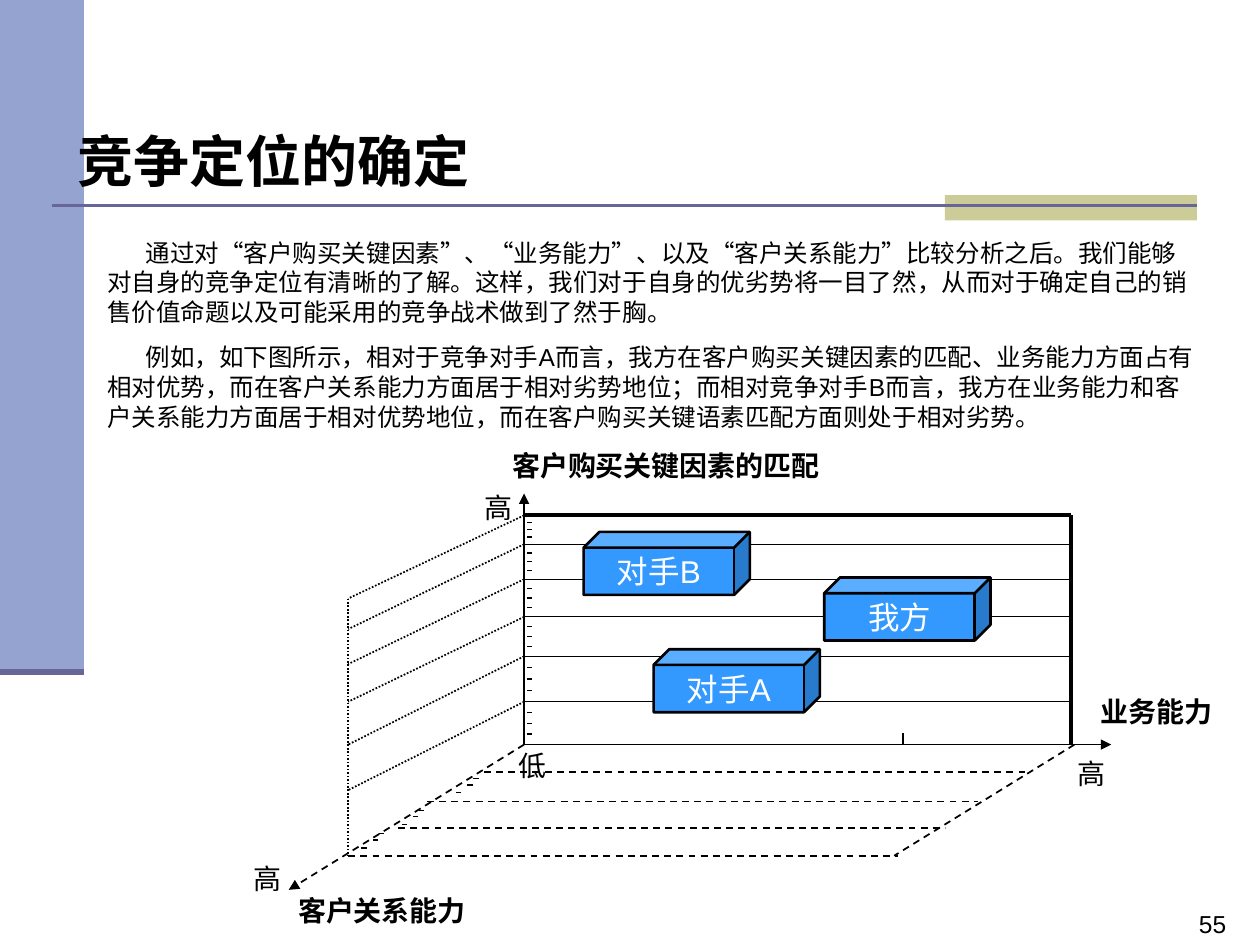
from lxml import etree
from pptx import Presentation
from pptx.dml.color import RGBColor
from pptx.enum.dml import MSO_LINE
from pptx.enum.shapes import MSO_CONNECTOR, MSO_SHAPE
from pptx.enum.text import MSO_ANCHOR, MSO_AUTO_SIZE, PP_ALIGN
from pptx.oxml.ns import qn
from pptx.util import Pt

RECT, CUBE = MSO_SHAPE.RECTANGLE, MSO_SHAPE.CUBE
STRAIGHT = MSO_CONNECTOR.STRAIGHT
DASH, DOT = MSO_LINE.DASH, MSO_LINE.ROUND_DOT
LEFT, CENTER = PP_ALIGN.LEFT, PP_ALIGN.CENTER
TOP, MIDDLE = MSO_ANCHOR.TOP, MSO_ANCHOR.MIDDLE
NO_FIT = MSO_AUTO_SIZE.NONE

COLORS = {
    "ink": "000000", "white": "FFFFFF", "band": "95A3D1",
    "rule": "666699", "tab": "CCCC99", "cube": "3399FF",
}
BODY = [
    "通过对“客户购买关键因素”、“业务能力”、以及“客户关系能力”比较分析之后。"
    "我们能够对自身的竞争定位有清晰的了解。这样，我们对于自身的优劣势将一目了然，"
    "从而对于确定自己的销售价值命题以及可能采用的竞争战术做到了然于胸。",
    "例如，如下图所示，相对于竞争对手A而言，我方在客户购买关键因素的匹配、"
    "业务能力方面占有相对优势，而在客户关系能力方面居于相对劣势地位；"
    "而相对竞争对手B而言，我方在业务能力和客户关系能力方面居于相对优势地位，"
    "而在客户购买关键语素匹配方面则处于相对劣势。",
]
# Corners of the three planes
AXIS_X, BASE_Y, RIGHT_X, SIDE_X, FRONT_Y = 299.5, 425.5, 612, 199, 489
LEVELS = [294.5, 311, 331, 352.5, 375, 401, BASE_Y]
SIDE_YS = [342, 359.5, 379.5, 401, 425.5, 451.5]
FLOOR = [(276.5, 586, 441), (244, 559, 458), (227.5, 540, 473),
         (SIDE_X, 513, FRONT_Y)]
MARKS = [(273.5, 445), (242.5, 463), (219.5, 476.5)]
STEPS = [(0, 0), (-3.5, 3.5), (-10, 8)]
TICK = 3


def color(name):
    return RGBColor.from_string(COLORS[name])


def style(para, size, ink="ink", face="Arial", bold=False, **form):
    para.font.size, para.font.name, para.font.bold = Pt(size), face, bold
    para.font.color.rgb = color(ink)
    for key, val in form.items():
        setattr(para, key, val)


def setup(frame, **form):
    base = {"word_wrap": True, "auto_size": NO_FIT, "vertical_anchor": TOP,
            "margin_left": Pt(7.2), "margin_right": Pt(7.2),
            "margin_top": Pt(3.6), "margin_bottom": Pt(3.6)}
    for key, val in {**base, **form}.items():
        setattr(frame, key, val)


def place(shape, box):
    """Move a placeholder to its box, in front of what is drawn so far."""
    for key, val in zip(("left", "top", "width", "height"), box):
        setattr(shape, key, Pt(val))
    shape._element.getparent().append(shape._element)


def block(slide, kind, box, fill):
    shape = slide.shapes.add_shape(kind, *map(Pt, box))
    shape.shadow.inherit = False
    shape.fill.solid()
    shape.fill.fore_color.rgb = color(fill)
    shape.line.fill.background()
    return shape


def line(slide, start, end, width=0.75, dash=None, ink="ink", arrow=False):
    rule = slide.shapes.add_connector(STRAIGHT, *map(Pt, (*start, *end)))
    rule.line.color.rgb = color(ink)
    rule.line.width = Pt(width)
    if dash:
        rule.line.dash_style = dash
    if arrow:
        etree.SubElement(rule.line._get_or_add_ln(), qn("a:tailEnd"),
                         type="triangle")
    etree.SubElement(rule._element.spPr, qn("a:effectLst"))


def label(slide, text, box, size, wrap=True, **form):
    frame = slide.shapes.add_textbox(*map(Pt, box)).text_frame
    setup(frame, word_wrap=wrap)
    frame.text = text
    style(frame.paragraphs[0], size, **form)


def cube(slide, text, x, y):
    shape = block(slide, CUBE, (x, y, 95, 36), "cube")
    shape.line.color.rgb = color("ink")
    shape.line.width = Pt(1.5)
    frame = shape.text_frame
    setup(frame, vertical_anchor=MIDDLE, margin_left=0, margin_right=0,
          margin_top=0, margin_bottom=0)
    frame.text = text
    style(frame.paragraphs[0], 18, "white", alignment=CENTER)


def frame_art(slide):
    block(slide, RECT, (0, 0, 48, 384), "band")
    block(slide, RECT, (540, 111.5, 144, 14.5), "tab")
    line(slide, (30, 117.5), (684, 117.5), 1.5, ink="rule")
    line(slide, (0, 384), (48, 384), 3.5, ink="rule")
    label(slide, "55", (678, 516, 60, 24.5), 14)


def words(slide):
    title, body = slide.placeholders
    place(title, (30, 68.5, 672, 46))
    setup(title.text_frame, margin_left=Pt(14.4))
    title.text_frame.text = "竞争定位的确定"
    style(title.text_frame.paragraphs[0], 32, face="Noto Sans CJK SC",
          bold=True, alignment=LEFT)
    place(body, (54, 132, 636, 117.5))
    setup(body.text_frame)
    body.text_frame.text = "\n".join(BODY)
    for para in body.text_frame.paragraphs:
        style(para, 14, space_before=Pt(8.8), line_spacing=Pt(17))
        props = para._p.get_or_add_pPr()
        props.set("marL", "0")
        props.set("indent", str(Pt(22)))
        mark = etree.Element(qn("a:buNone"))
        props.find(qn("a:spcBef")).addnext(mark)


def wall(slide):
    line(slide, (AXIS_X, LEVELS[0]), (RIGHT_X, LEVELS[0]), 2.25)
    line(slide, (RIGHT_X, LEVELS[0]), (RIGHT_X, BASE_Y), 2.25)
    for y in LEVELS[1:-1]:
        line(slide, (AXIS_X, y), (RIGHT_X, y))
    for y, low in zip(LEVELS, LEVELS[1:]):
        for part in (1, 2, 3):
            spot = round(y + (low - y) * part / 4, 2)
            line(slide, (AXIS_X + 1.5 + TICK, spot), (AXIS_X + 1.5, spot))
    line(slide, (516, 419), (516, 425))


def side(slide):
    for y, end in zip(LEVELS, SIDE_YS):
        line(slide, (AXIS_X, y), (SIDE_X, end), 1, DOT)
    line(slide, (SIDE_X, SIDE_YS[0]), (SIDE_X, FRONT_Y), 1, DOT)


def floor(slide):
    for x, end, y in FLOOR:
        line(slide, (x, y), (end, y), 1, DASH)
    line(slide, (614, BASE_Y), (511, FRONT_Y), 1, DASH)
    for x, y in MARKS:
        for dx, dy in STEPS:
            line(slide, (x + dx, y + dy), (x + dx - TICK, y + dy))


def axes(slide):
    start = (AXIS_X, BASE_Y)
    for end, width, dash in [((165, 508.5), 1, DASH), ((635, BASE_Y), 0.75, None),
                             ((AXIS_X, 282), 1, None)]:
        line(slide, start, end, width, dash, arrow=True)
    for text, x, y in [("低", 289, 424), ("高", 608.5, 428.5),
                       ("高", 270, 277), ("高", 138, 489)]:
        label(slide, text, (x, y, 30.5, 26.5), 16, wrap=False)
    for text, x, y, wide in [("客户购买关键因素的匹配", 278.5, 255, 204),
                             ("业务能力", 559.5, 395.5, 203),
                             ("客户关系能力", 127.5, 509, 181.5)]:
        label(slide, text, (x, y, wide, 24.5), 16, face="Karla", bold=True,
              alignment=CENTER, line_spacing=0.9, space_before=Pt(10))


def main():
    deck = Presentation()
    deck.slide_width, deck.slide_height = Pt(720), Pt(540)
    slide = deck.slides.add_slide(deck.slide_layouts[1])
    for draw in (frame_art, words, wall, side, floor, axes):
        draw(slide)
    for text, x, y in [("我方", 471, 330), ("对手A", 373.5, 371),
                       ("对手B", 333.5, 304)]:
        cube(slide, text, x, y)
    deck.save("out.pptx")


if __name__ == "__main__":
    main()
